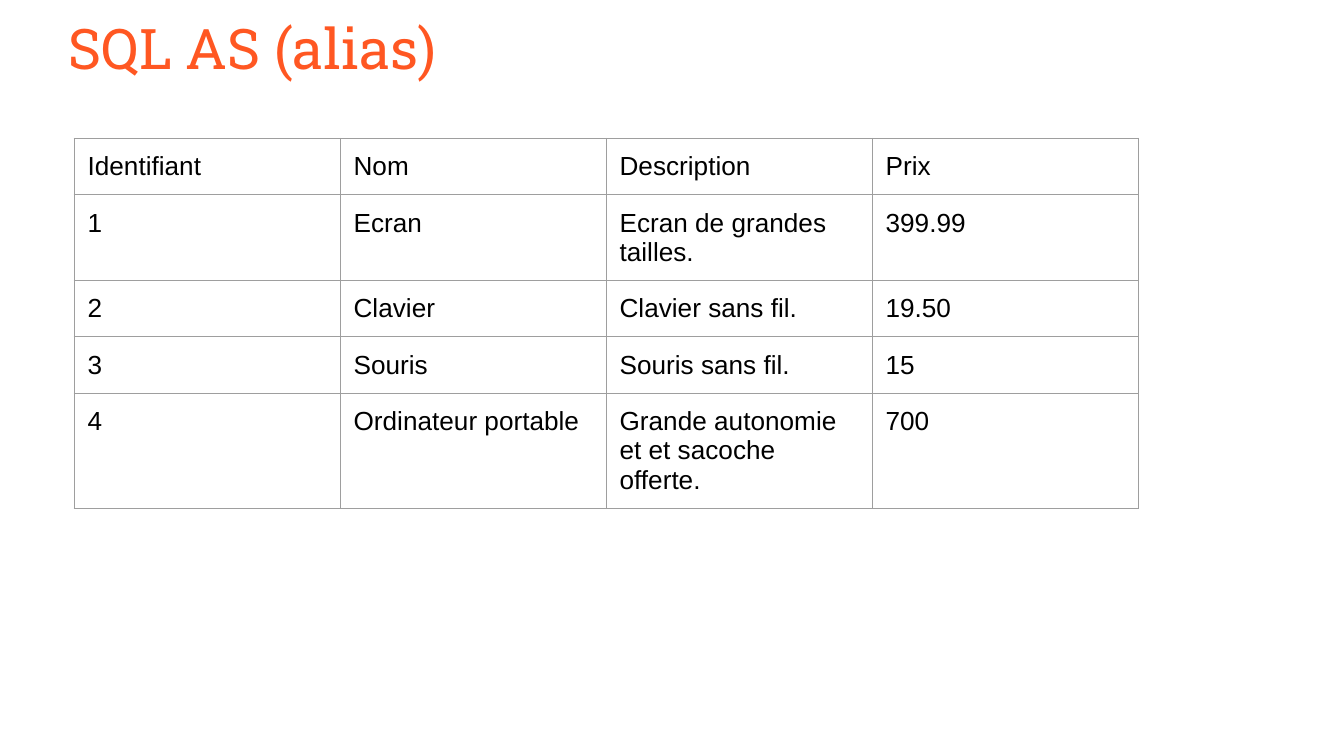
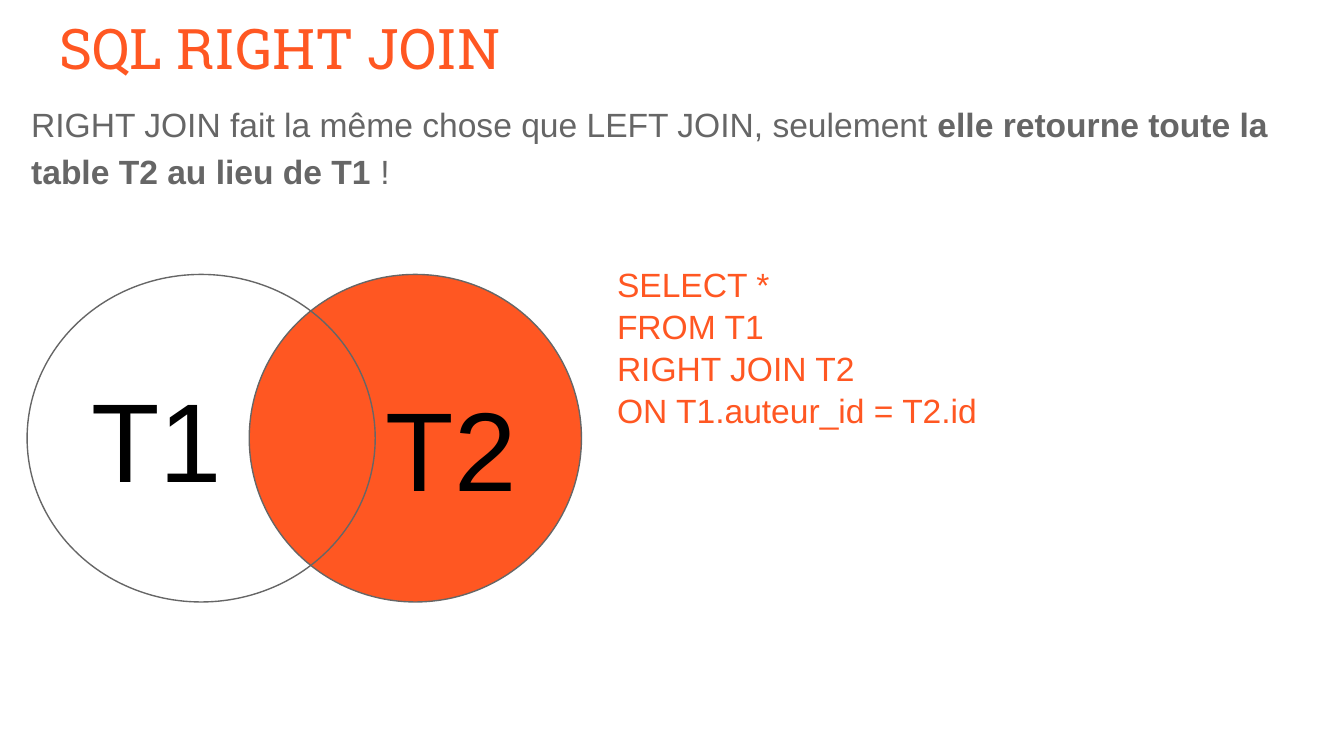
from lxml.etree import SubElement
from pptx import Presentation
from pptx.dml.color import RGBColor
from pptx.enum.shapes import MSO_SHAPE
from pptx.enum.text import MSO_ANCHOR, MSO_AUTO_SIZE, PP_ALIGN
from pptx.oxml.ns import qn
from pptx.util import Pt

ORANGE = RGBColor(0xFF, 0x57, 0x22)
GREY = RGBColor(0x66, 0x66, 0x66)
BORDER = RGBColor(0x9E, 0x9E, 0x9E)
BLACK = RGBColor(0, 0, 0)
INSET = Pt(7.2)


def set_frame(frame, anchor=MSO_ANCHOR.TOP):
    """Equal insets, wrapped text, no autofit."""
    frame.margin_left = frame.margin_right = INSET
    frame.margin_top = frame.margin_bottom = INSET
    frame.word_wrap = True
    frame.auto_size = MSO_AUTO_SIZE.NONE
    frame.vertical_anchor = anchor


def style(paragraph, size, color, face="Arial"):
    paragraph.alignment = PP_ALIGN.LEFT
    paragraph.font.size = Pt(size)
    paragraph.font.name = face
    paragraph.font.color.rgb = color


prs = Presentation()
prs.slide_width, prs.slide_height = Pt(720), Pt(405)

# Slides with their shared title style
slides = []
for heading, left, layout in (("SQL AS (alias)", 29.5, 5), ("SQL RIGHT JOIN", 24.5, 1)):
    slide = prs.slides.add_slide(prs.slide_layouts[layout])
    title = slide.shapes.title
    title.left, title.top, title.width, title.height = Pt(left), Pt(0), Pt(671), Pt(45)
    set_frame(title.text_frame)
    title.text_frame.text = heading
    style(title.text_frame.paragraphs[0], 30, ORANGE, "Roboto Slab")
    slides.append(slide)
alias_slide, join_slide = slides

# Slide 1: product table
products = [
    ("Identifiant", "Nom", "Description", "Prix"),
    ("1", "Ecran", "Ecran de grandes tailles.", "399.99"),
    ("2", "Clavier", "Clavier sans fil.", "19.50"),
    ("3", "Souris", "Souris sans fil.", "15"),
    ("4", "Ordinateur portable", "Grande autonomie et et sacoche offerte.", "700"),
]
grid = alias_slide.shapes.add_table(
    len(products), 4, Pt(39.75), Pt(74.25), Pt(570), Pt(150)).table
grid.first_row = grid.horz_banding = False
for column in grid.columns:
    column.width = Pt(142.5)
for r, product in enumerate(products):
    for c, value in enumerate(product):
        cell = grid.cell(r, c)
        cell.margin_left = cell.margin_right = INSET
        cell.margin_top = cell.margin_bottom = INSET
        cell.text = value
        style(cell.text_frame.paragraphs[0], 14, BLACK)
        properties = cell._tc.get_or_add_tcPr()
        for side in ("a:lnL", "a:lnR", "a:lnT", "a:lnB"):
            edge = SubElement(properties, qn(side), w=str(Pt(0.75)))
            SubElement(SubElement(edge, qn("a:solidFill")), qn("a:srgbClr"), val=str(BORDER))
        cell.fill.background()

# Slide 2: explanation
explanation = join_slide.placeholders[1]
explanation.left, explanation.top = Pt(9.5), Pt(45.5)
explanation.width, explanation.height = Pt(698.5), Pt(352)
set_frame(explanation.text_frame)
sentence = explanation.text_frame.paragraphs[0]
bullet_properties = sentence._p.get_or_add_pPr()
bullet_properties.set("marL", "0")
bullet_properties.set("indent", "0")
SubElement(bullet_properties, qn("a:buNone"))
style(sentence, 18, GREY)
sentence.line_spacing = 1.15
sentence.space_before = Pt(0)
for words, bold in (
    ("RIGHT JOIN fait la même chose que LEFT JOIN, seulement ", False),
    ("elle retourne toute la table T2 au lieu de T1 ", True),
    ("!", False),
):
    run = sentence.add_run()
    run.text = words
    run.font.bold = bold

# Venn diagram: T2 filled, T1 outlined on top, T2's label moved right and down
for label, left, width, fill, shift_right, shift_down in (
    ("T2", 133.5, 178, ORANGE, 40, 9),
    ("T1", 14.5, 186.5, None, 0, 0),
):
    circle = join_slide.shapes.add_shape(
        MSO_SHAPE.OVAL, Pt(left), Pt(147), Pt(width), Pt(175.5))
    circle.shadow.inherit = False
    if fill:
        circle.fill.solid()
        circle.fill.fore_color.rgb = fill
    else:
        circle.fill.background()
    circle.line.color.rgb = GREY
    circle.line.width = Pt(0.75)
    set_frame(circle.text_frame, MSO_ANCHOR.MIDDLE)
    circle.text_frame.margin_left = INSET + Pt(shift_right)
    circle.text_frame.margin_top = INSET + Pt(shift_down)
    circle.text_frame.text = label
    style(circle.text_frame.paragraphs[0], 60, BLACK)

# Query, one paragraph with line breaks
query = join_slide.shapes.add_textbox(Pt(323.5), Pt(133.5), Pt(384.5), Pt(264)).text_frame
set_frame(query)
query.text = "\v".join(
    ("SELECT *", "FROM T1", "RIGHT JOIN T2", "ON T1.auteur_id = T2.id"))
style(query.paragraphs[0], 18, ORANGE)
query.paragraphs[0].line_spacing = 1.04

prs.save("out.pptx")
